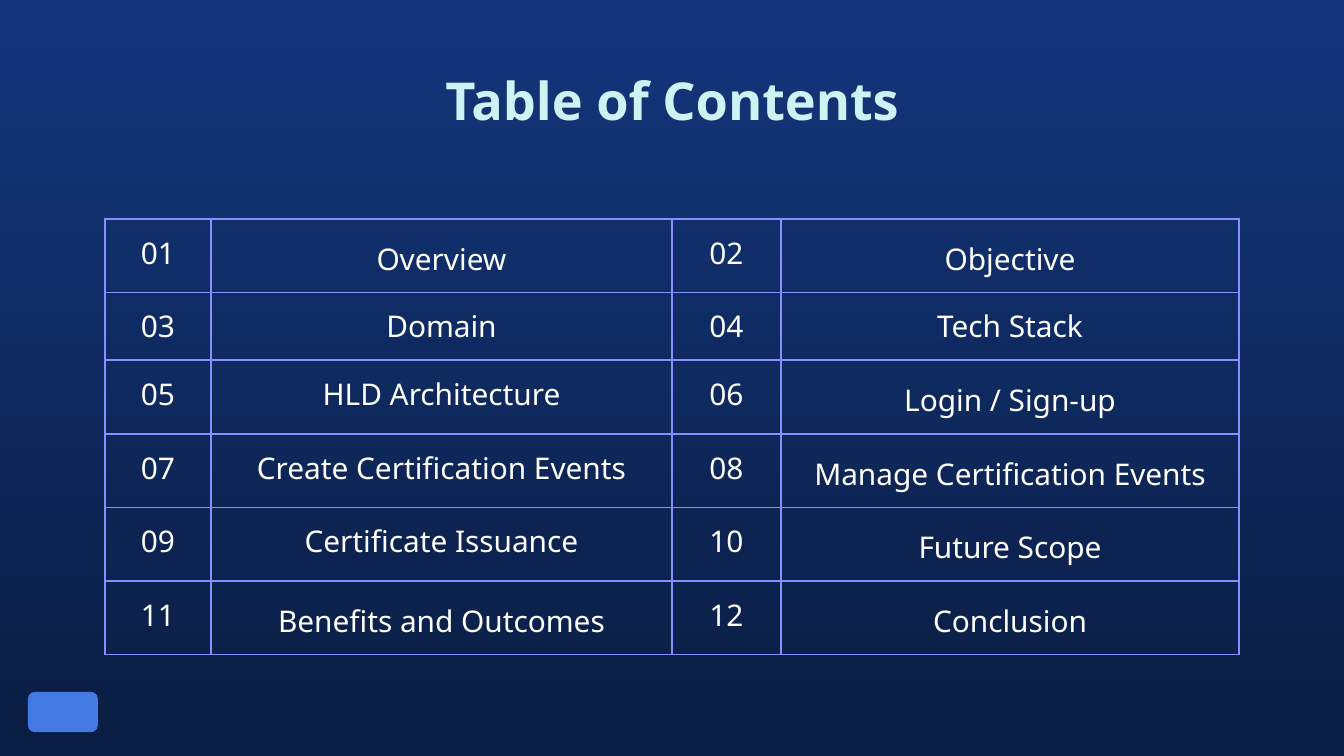
"""Build a table of contents slide with a numbered grid and a corner block."""
from lxml import etree
from pptx import Presentation
from pptx import util as u
from pptx.dml.color import RGBColor
from pptx.enum import shapes, text
from pptx.oxml.ns import qn

COLORS = {
    "top": "13367C",
    "bottom": "0A1D42",
    "accent": "CEF3F5",
    "white": "FFFFFF",
    "border": "878FFF",
    "block": "4379E2",
}
TOPICS = [
    "Overview", "Objective",
    "Domain", "Tech Stack",
    "HLD Architecture", "Login / Sign-up",
    "Create Certification Events", "Manage Certification Events",
    "Certificate Issuance", "Future Scope",
    "Benefits and Outcomes", "Conclusion",
]
SPACED_TOPICS = {
    "Overview", "Objective", "Login / Sign-up", "Manage Certification Events",
    "Future Scope", "Benefits and Outcomes", "Conclusion",
}


def write(frame, words, size, color, bold=False):
    frame.margin_left = frame.margin_right = u.Cm(0.25)
    frame.margin_top = frame.margin_bottom = u.Cm(0.25)
    frame.text = words
    para = frame.paragraphs[0]
    para.alignment = text.PP_ALIGN.CENTER
    span = para.runs[0]
    span.font.name = "Noto Sans"
    span.font.size = u.Pt(size)
    span.font.bold = bold
    span.font.color.rgb = RGBColor.from_string(COLORS[color])
    return para


def add_borders(cell):
    properties = cell._tc.get_or_add_tcPr()
    for side in ("lnL", "lnR", "lnT", "lnB"):
        line = etree.SubElement(properties, qn(f"a:{side}"), w=str(u.Pt(1)))
        fill = etree.SubElement(line, qn("a:solidFill"))
        etree.SubElement(fill, qn("a:srgbClr"), val=COLORS["border"])


deck = Presentation()
deck.slide_width, deck.slide_height = u.Cm(25.4), u.Cm(14.29)
page = deck.slides.add_slide(deck.slide_layouts[5])

backdrop = page.background.fill
backdrop.gradient()
backdrop.gradient_angle = 270
for stop, name in zip(backdrop.gradient_stops, ("top", "bottom")):
    stop.color.rgb = RGBColor.from_string(COLORS[name])

title = page.shapes.title
title.left, title.top = u.Cm(2), u.Cm(1.04)
title.width, title.height = u.Cm(21.4), u.Cm(1.6)
title.text_frame.vertical_anchor = text.MSO_ANCHOR.TOP
title.text_frame.auto_size = text.MSO_AUTO_SIZE.NONE
write(title.text_frame, "Table of Contents", 28, "accent", bold=True)

contents = page.shapes.add_table(
    6, 4, u.Cm(1.98), u.Cm(4.14), u.Cm(21.44), u.Cm(6.42)).table
contents.first_row = contents.horz_banding = False
for column, width in zip(contents.columns, (2.01, 8.71, 2.06, 8.66)):
    column.width = u.Cm(width)
for row in contents.rows:
    row.height = u.Cm(1.07)
for index, topic in enumerate(TOPICS):
    row, pair = divmod(index, 2)
    for offset, words in enumerate((f"{index + 1:02}", topic)):
        cell = contents.cell(row, 2 * pair + offset)
        cell.margin_left = cell.margin_right = u.Cm(0.25)
        cell.margin_top = cell.margin_bottom = u.Cm(0.255)
        para = write(cell.text_frame, words, 16, "white")
        if words in SPACED_TOPICS:
            para.line_spacing = 1.15
        add_borders(cell)
        cell.fill.background()

block = page.shapes.add_shape(
    shapes.MSO_SHAPE.ROUNDED_RECTANGLE,
    u.Cm(0.53), u.Cm(13.08), u.Cm(1.32), u.Cm(0.76))
block.shadow.inherit = False
block.fill.solid()
block.fill.fore_color.rgb = RGBColor.from_string(COLORS["block"])
block.line.fill.background()

deck.save("out.pptx")
